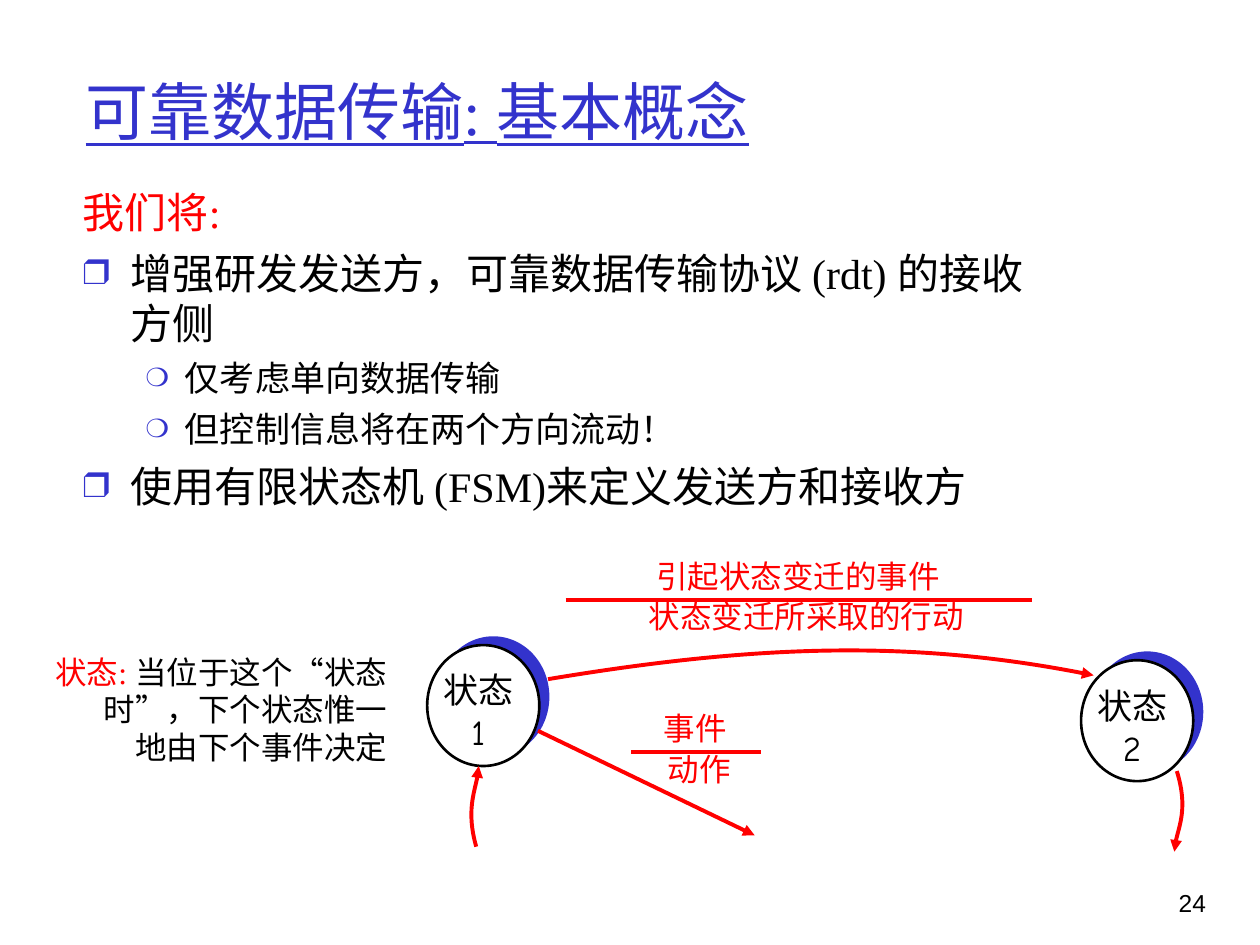
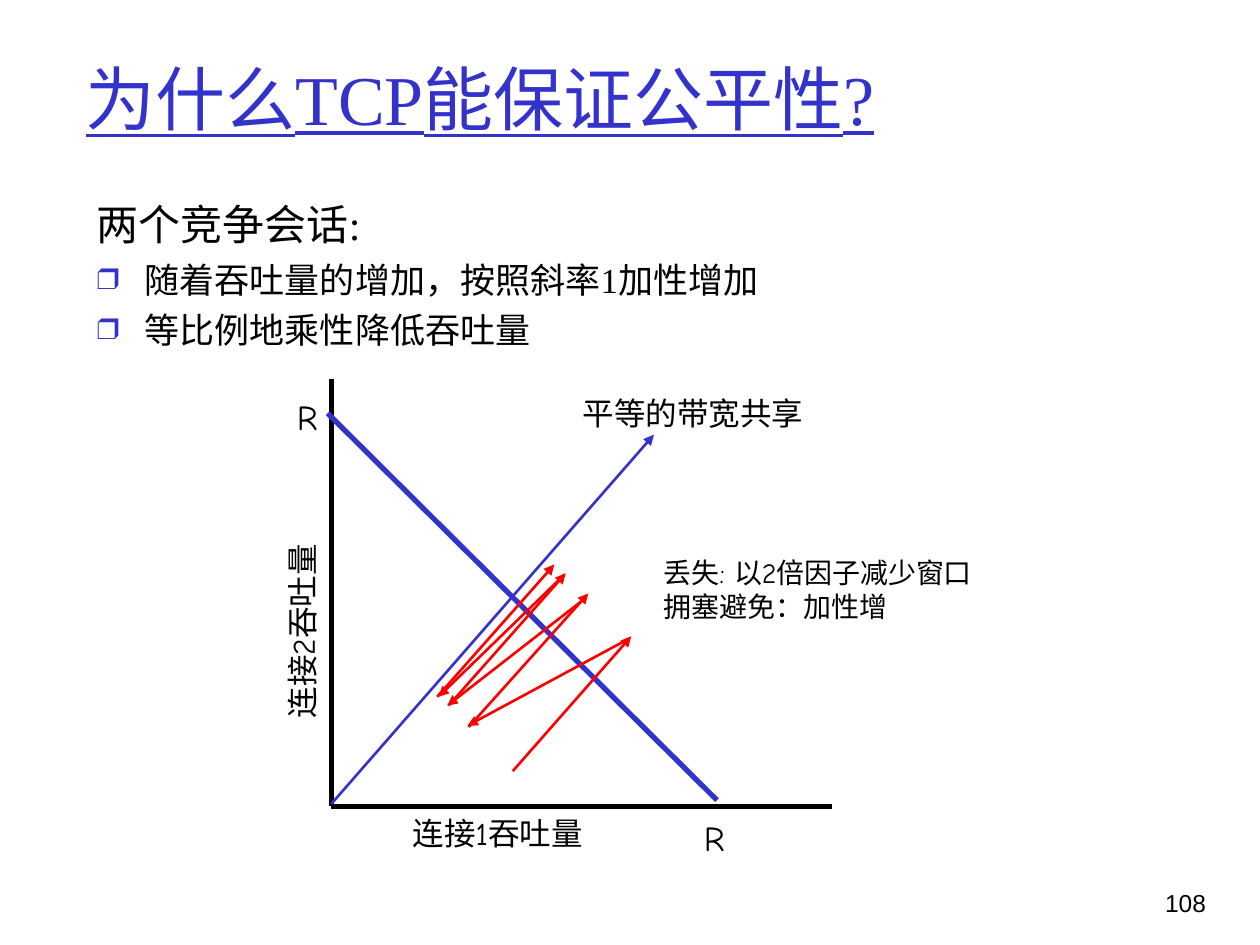
from lxml import etree
from pptx import Presentation
from pptx.dml.color import RGBColor
from pptx.enum.lang import MSO_LANGUAGE_ID as Language
from pptx.enum.shapes import MSO_CONNECTOR as Connector, MSO_SHAPE as Shape
from pptx.enum.text import MSO_ANCHOR as Anchor, MSO_AUTO_SIZE as AutoSize, PP_ALIGN as Align
from pptx.oxml.ns import qn
from pptx.util import Pt

EMU_PER_PX = 9144  # 100 px to the inch
BLUE, RED, BLACK, WHITE = "3333CC", "FF0000", "000000", "FFFFFF"
SERIF, COMIC, SANS = "Times New Roman", "Comic Neue", "Arial"
TITLE_ONLY = 5
HANGING = (38, -38)
SQUARE = ("❒", 85)
CIRCLE = ("❍", 75)


def px(*lengths):
    return [length * EMU_PER_PX for length in lengths]


def color(hex_string):
    return RGBColor.from_string(hex_string)


def add_run(paragraph, text, size, font=COMIC, hex_color=BLACK, underline=None):
    run = paragraph.add_run()
    run.text = text
    run.font.size = Pt(size)
    run.font.name = font
    run.font.color.rgb = color(hex_color)
    run.font.underline = underline
    run.font.language_id = Language.SIMPLIFIED_CHINESE


def set_indent(paragraph, margin, first_line):
    properties = paragraph._p.get_or_add_pPr()
    for name, length in zip(("marL", "indent"), px(margin, first_line)):
        properties.set(name, str(length))


def set_bullet(paragraph, character, percent):
    properties = paragraph._p.get_or_add_pPr()
    bullet_color = etree.SubElement(properties, qn("a:buClr"))
    etree.SubElement(bullet_color, qn("a:srgbClr"), val=BLUE)
    etree.SubElement(properties, qn("a:buSzPct"), val=str(percent * 1000))
    etree.SubElement(properties, qn("a:buFont"), typeface=SERIF)
    etree.SubElement(properties, qn("a:buChar"), char=character)


def add_text_box(shapes, left, top, width, height, wrap=False):
    box = shapes.add_textbox(*px(left, top, width, height))
    box.text_frame.word_wrap = wrap
    return box


def next_paragraph(frame, is_first):
    return frame.paragraphs[0] if is_first else frame.add_paragraph()


def add_label(shapes, lines, left, top, width, height=40, size=18,
              hex_color=BLACK, align=Align.CENTER, fonts=(COMIC, COMIC)):
    """Add unwrapped lines of text, each with its own font."""
    box = add_text_box(shapes, left, top, width, height)
    for index, (line, font) in enumerate(zip(lines, fonts)):
        paragraph = next_paragraph(box.text_frame, index == 0)
        paragraph.alignment = align
        add_run(paragraph, line, size, font, hex_color)
    return box


def add_body(shapes, left, top, width, height, items):
    """Add an outline of (text, size, bullet, colour) items."""
    frame = add_text_box(shapes, left, top, width, height, wrap=True).text_frame
    for index, (text, size, bullet, hex_color) in enumerate(items):
        paragraph = next_paragraph(frame, index == 0)
        if index:
            paragraph.space_before = Pt(size / 4)
        if bullet == CIRCLE:
            paragraph.level = 1
            set_indent(paragraph, 81, -31)
        else:
            set_indent(paragraph, *HANGING)
        if bullet:
            set_bullet(paragraph, *bullet)
        add_run(paragraph, text, size, SERIF, hex_color)


def style_line(shape, hex_color, width, arrow):
    shape.line.color.rgb = color(hex_color)
    shape.line.width = Pt(width)
    if arrow:
        etree.SubElement(shape.line._get_or_add_ln(), qn("a:tailEnd"), type="triangle")


def add_line(shapes, start, end, hex_color=RED, width=2.25, arrow=False):
    line = shapes.add_connector(Connector.STRAIGHT, *px(*start, *end))
    style_line(line, hex_color, width, arrow)
    etree.SubElement(line._element.spPr, qn("a:effectLst"))


def add_curved_arrow(shapes, start, *controls_and_end):
    """Add a cubic Bézier arrow: outline its control points, then bend it."""
    builder = shapes.build_freeform(*px(*start))
    builder.add_line_segments([px(*point) for point in controls_and_end], close=False)
    curve = builder.convert_to_shape()
    curve.shadow.inherit = False
    curve.fill.background()
    style_line(curve, RED, 2.25, arrow=True)
    outline = curve._element.find(".//" + qn("a:path"))
    segments = outline.findall(qn("a:lnTo"))
    bezier = etree.SubElement(outline, qn("a:cubicBezTo"))
    for segment in segments:
        bezier.append(segment[0])
        outline.remove(segment)


def add_disc(shapes, left, top, fill, outlined):
    disc = shapes.add_shape(Shape.OVAL, *px(left, top, 89, 96))
    disc.shadow.inherit = False
    disc.fill.solid()
    disc.fill.fore_color.rgb = color(fill)
    if outlined:
        style_line(disc, BLACK, 1.5, arrow=False)
    else:
        disc.line.fill.background()


def add_state(slide, number, left, top):
    shapes = slide.shapes.add_group_shape().shapes
    add_disc(shapes, left + 8, top - 7, BLUE, outlined=False)
    add_disc(shapes, left, top, WHITE, outlined=True)
    add_label(shapes, ["状态", number], left - 7, top + 14, 95, 77, size=20)


def add_transition_label(slide, event, action, event_left, action_left,
                         event_width, action_width, bar_left, bar_right, bar_y):
    """Write the event above a bar and the action below it."""
    shapes = slide.shapes.add_group_shape().shapes
    add_label(shapes, [event], event_left, bar_y - 39, event_width, hex_color=RED)
    add_label(shapes, [action], action_left, bar_y - 7, action_width, hex_color=RED)
    add_line(shapes, (bar_left, bar_y), (bar_right, bar_y))


def add_titled_slide(presentation, title, size, title_height, page):
    slide = presentation.slides.add_slide(presentation.slide_layouts[TITLE_ONLY])
    holder = slide.shapes.title
    holder.left, holder.top, holder.width, holder.height = px(58, 25, 850, title_height)
    frame = holder.text_frame
    frame.auto_size = AutoSize.NONE
    frame.vertical_anchor = Anchor.MIDDLE
    paragraph = frame.paragraphs[0]
    paragraph.alignment = Align.LEFT
    add_run(paragraph, title, size, SERIF, BLUE, underline=True)
    add_label(slide.shapes, [page], 893, 700, 74, 50, size=14,
              align=Align.RIGHT, fonts=[SANS])
    return slide


def add_state_note(shapes):
    paragraph = add_text_box(shapes, 14, 513, 303, 135, wrap=True).text_frame.paragraphs[0]
    paragraph.alignment = Align.RIGHT
    set_indent(paragraph, *HANGING)
    add_run(paragraph, "状态: ", 18, SERIF, RED)
    add_run(paragraph, "当位于这个“状态时”，下个状态惟一地由下个事件决定", 18, SERIF)


def build_reliable_transfer(presentation):
    slide = add_titled_slide(presentation, "可靠数据传输: 基本概念", 36, 125, "24")
    shapes = slide.shapes
    add_body(shapes, 56, 143, 794, 367, [
        ("我们将:", 24, None, RED),
        ("增强研发发送方，可靠数据传输协议 (rdt) 的接收方侧", 24, SQUARE, BLACK),
        ("仅考虑单向数据传输", 20, CIRCLE, BLACK),
        ("但控制信息将在两个方向流动！", 20, CIRCLE, BLACK),
        ("使用有限状态机 (FSM)来定义发送方和接收方", 24, SQUARE, BLACK),
    ])
    add_state(slide, "1", 339, 512)
    add_curved_arrow(shapes, (435, 539), (597, 512), (726, 507), (868, 536))
    add_state(slide, "2", 858, 524)
    add_transition_label(slide, "引起状态变迁的事件", "状态变迁所采取的行动",
                         511, 505, 245, 270, 449, 819, 476)
    add_state_note(shapes)
    add_curved_arrow(shapes, (378, 672), (370, 644), (380, 618), (380, 608))
    add_curved_arrow(shapes, (934, 612), (943, 641), (932, 666), (932, 676))
    add_line(shapes, (427, 580), (599, 663), arrow=True)
    add_transition_label(slide, "事件", "动作", 517, 520, 70, 70, 501, 604, 597)


def build_fairness(presentation):
    slide = add_titled_slide(presentation, "为什么TCP能保证公平性?", 40, 104, "108")
    shapes = slide.shapes
    add_body(shapes, 67, 153, 908, 508, [
        ("两个竞争会话:", 24, None, BLACK),
        ("随着吞吐量的增加，按照斜率1加性增加", 20, SQUARE, BLACK),
        ("等比例地乘性降低吞吐量", 20, SQUARE, BLACK),
    ])
    for axis_end in ((660, 640), (263, 301)):
        add_line(shapes, (263, 640), axis_end, BLACK, 3)
    add_line(shapes, (263, 638), (519, 345), BLUE, 1.5, arrow=True)
    add_line(shapes, (260, 328), (569, 635), BLUE, 3)
    for left, top in ((222, 309), (545, 643)):
        add_label(shapes, ["R"], left, top, 44, 44, size=20)
    add_label(shapes, ["平等的带宽共享"], 356, 308, 388)
    add_label(shapes, ["连接1吞吐量"], 201, 641, 388)
    add_label(shapes, ["连接2吞吐量"], 46, 481, 388).rotation = 270
    add_label(shapes, ["丢失: 以2倍因子减少窗口", "拥塞避免：加性增"], 517, 436, 286, 64,
              size=16, align=Align.LEFT, fonts=(COMIC, SERIF))
    throughput_steps = [
        ((407, 612), (501, 505)), ((499, 507), (371, 576)),
        ((372, 577), (467, 471)), ((463, 476), (355, 560)),
        ((356, 560), (449, 455)), ((448, 456), (348, 553)),
        ((347, 553), (440, 448)),
    ]
    for start, end in throughput_steps:
        add_line(shapes, start, end, width=1.5, arrow=True)


def main():
    presentation = Presentation()
    presentation.slide_width, presentation.slide_height = px(1000, 750)
    build_reliable_transfer(presentation)
    build_fairness(presentation)
    presentation.save("out.pptx")


if __name__ == "__main__":
    main()
